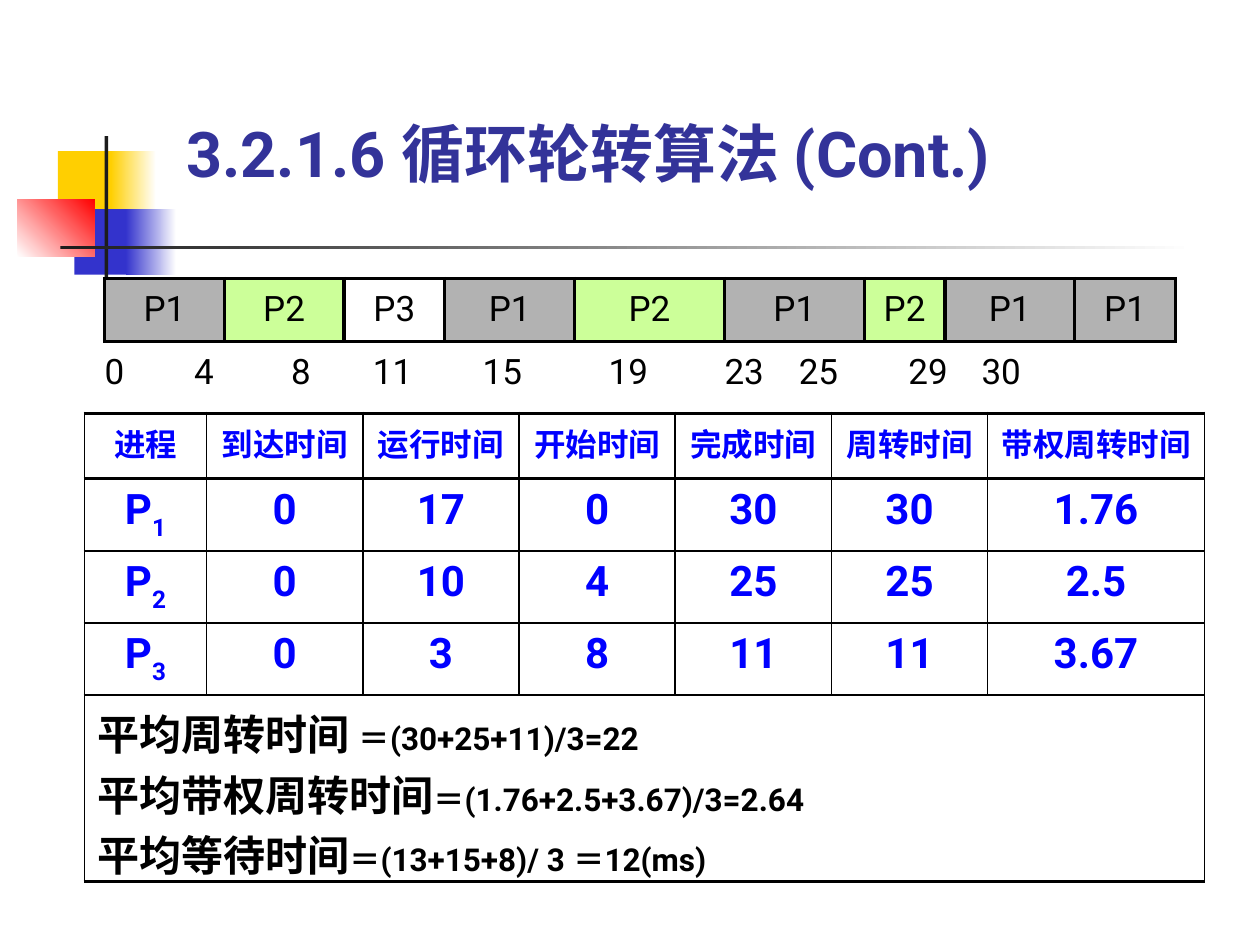
from typing import NamedTuple, Optional

from lxml import etree
from pptx import Presentation
from pptx.dml.color import RGBColor
from pptx.enum.shapes import MSO_SHAPE
from pptx.enum.text import MSO_ANCHOR, MSO_AUTO_SIZE, PP_ALIGN
from pptx.oxml.ns import qn
from pptx.util import Inches, Pt

RECTANGLE = MSO_SHAPE.RECTANGLE
CENTER, LEFT = PP_ALIGN.CENTER, PP_ALIGN.LEFT
MIDDLE, BOTTOM = MSO_ANCHOR.MIDDLE, MSO_ANCHOR.BOTTOM
GROW = MSO_AUTO_SIZE.SHAPE_TO_FIT_TEXT

YELLOW = RGBColor(0xFF, 0xCF, 0x01)
INDIGO = RGBColor(0x33, 0x33, 0xCC)
RED = RGBColor(0xFF, 0x00, 0x00)
CHARCOAL = RGBColor(0x1C, 0x1C, 0x1C)
WHITE = RGBColor(0xFF, 0xFF, 0xFF)
BLACK = RGBColor(0x00, 0x00, 0x00)
TITLE_BLUE = RGBColor(0x33, 0x33, 0x99)
TABLE_BLUE = RGBColor(0x00, 0x00, 0xFF)
GREY = RGBColor(0xB2, 0xB2, 0xB2)
GREEN = RGBColor(0xCC, 0xFF, 0x99)

FONT = "Roboto"
HEADER_FONT = "Times New Roman"

# The slide is a grid of 100 columns by 75 rows of square units.
GRID_COLUMNS, GRID_ROWS = 100, 75
UNIT = Inches(0.1)


def units(count: float) -> int:
    return round(count * UNIT)


class Block(NamedTuple):
    column: float
    row: float
    columns: float
    rows: float
    start: RGBColor
    end: Optional[RGBColor] = None
    angle: float = 0


class Borders(NamedTuple):
    """Line widths in points; zero hides a line."""
    left: float
    right: float
    top: float
    bottom: float


DECORATION = [
    Block(4.6, 12, 4.8, 5.2, YELLOW),
    Block(8.8, 12, 3.6, 5.2, YELLOW, WHITE),
    Block(5.9, 16.6, 4.6, 5.2, INDIGO),
    Block(10, 16.6, 4, 5.2, INDIGO, WHITE),
    Block(1.4, 15.8, 6.1, 4.6, WHITE, RED, 45),
    Block(8.3, 10.8, 0.3, 11.5, CHARCOAL),
    Block(4.8, 19.5, 90, 0.3, CHARCOAL, WHITE),
]

PROCESS_FILLS = {"P1": GREY, "P2": GREEN, "P3": None}
TIMELINE = [("P1", 9.5), ("P2", 9.5), ("P3", 8), ("P1", 10.3), ("P2", 11.9),
            ("P1", 11.1), ("P2", 6.4), ("P1", 10.3), ("P1", 8)]
TIMES = ["0", "4", "8", "11", "15", "19", "23", "25", "29", "30"]
TIME_TABS = [7.1, 14.8, 21.3, 30, 40, 49.2, 55.1, 63.8, 69.6]

HEADERS = ["进程", "到达时间", "运行时间", "开始时间", "完成时间", "周转时间", "带权周转时间"]
PROCESSES = [
    ["1", "0", "17", "0", "30", "30", "1.76"],
    ["2", "0", "10", "4", "25", "25", "2.5"],
    ["3", "0", "3", "8", "11", "11", "3.67"],
]
AVERAGES = [
    ("平均周转时间 ", "＝(30+25+11)/3=22"),
    ("平均带权周转时间", "＝(1.76+2.5+3.67)/3=2.64"),
    ("平均等待时间", "＝(13+15+8)/ 3 ＝12(ms)"),
]


def draw_block(slide, block: Block) -> None:
    shape = slide.shapes.add_shape(RECTANGLE, *map(units, block[:4]))
    shape.shadow.inherit = False
    shape.line.fill.background()
    if block.end is None:
        shape.fill.solid()
        shape.fill.fore_color.rgb = block.start
        return
    shape.fill.gradient()
    shape.fill.gradient_angle = block.angle
    for stop, color in zip(shape.fill.gradient_stops, (block.start, block.end)):
        stop.color.rgb = color


def format_run(run, size: float, color: RGBColor, bold: bool = True, name: str = FONT) -> None:
    run.font.size = Pt(size)
    run.font.name = name
    run.font.bold = bold
    run.font.color.rgb = color


def draw_title(slide, text: str) -> None:
    box = slide.shapes.add_textbox(units(14.8), units(9.1), units(70.7), units(6))
    frame = box.text_frame
    frame.word_wrap = True
    frame.auto_size = GROW
    frame.vertical_anchor = BOTTOM
    frame.margin_left = frame.margin_right = frame.margin_top = frame.margin_bottom = 0
    frame.text = text
    format_run(frame.paragraphs[0].runs[0], 36, TITLE_BLUE)


def add_grid(slide, column: float, row: float, widths: list, heights: list):
    frame = slide.shapes.add_table(len(heights), len(widths), units(column), units(row),
                                   units(sum(widths)), units(sum(heights)))
    table = frame.table
    table.first_row = table.horz_banding = False
    for table_column, width in zip(table.columns, widths):
        table_column.width = units(width)
    for table_row, height in zip(table.rows, heights):
        table_row.height = units(height)
    return table


def style_cell(cell, borders: Borders, fill: Optional[RGBColor] = None) -> None:
    properties = cell._tc.get_or_add_tcPr()
    for tag, width in zip(("a:lnL", "a:lnR", "a:lnT", "a:lnB"), borders):
        line = etree.SubElement(properties, qn(tag), w=str(Pt(width)))
        if width:
            solid = etree.SubElement(line, qn("a:solidFill"))
            etree.SubElement(solid, qn("a:srgbClr"), val=str(BLACK))
        else:
            etree.SubElement(line, qn("a:noFill"))
    if fill is None:
        cell.fill.background()
    else:
        cell.fill.solid()
        cell.fill.fore_color.rgb = fill


def write_cell(cell, text: str, size: float, color: RGBColor, bold: bool = True,
               name: str = FONT, alignment=CENTER):
    cell.text_frame.text = text
    paragraph = cell.text_frame.paragraphs[0]
    paragraph.alignment = alignment
    format_run(paragraph.runs[0], size, color, bold, name)
    return paragraph


def draw_process_table(slide) -> None:
    table = add_grid(slide, 6.7, 32.8, [9.7] + [12.4] * 5 + [17.2], [5.2] + [5.4] * 3 + [14.8])
    row_lines = [2, 2, 1, 1, 1, 2]
    for row_index, row in enumerate(table.rows):
        for cell in row.cells:
            style_cell(cell, Borders(1, 1, *row_lines[row_index:row_index + 2]))
    for column, header in enumerate(HEADERS):
        write_cell(table.cell(0, column), header, 18, TABLE_BLUE, name=HEADER_FONT)
    for row_index, (number, *values) in enumerate(PROCESSES, start=1):
        paragraph = write_cell(table.cell(row_index, 0), "P", 24, TABLE_BLUE)
        subscript = paragraph.add_run()
        subscript.text = number
        format_run(subscript, 24, TABLE_BLUE)
        subscript._r.get_or_add_rPr().set("baseline", "-30000")
        for column, value in enumerate(values, start=1):
            write_cell(table.cell(row_index, column), value, 24, TABLE_BLUE)
    summary = table.cell(4, 0)
    summary.merge(table.cell(4, len(HEADERS) - 1))
    frame = summary.text_frame
    for index, line in enumerate(AVERAGES):
        paragraph = frame.add_paragraph() if index else frame.paragraphs[0]
        for text, size in zip(line, (24, 18)):
            run = paragraph.add_run()
            run.text = text
            format_run(run, size, BLACK)


def draw_timeline(slide) -> None:
    table = add_grid(slide, 8.3, 22.1, [width for _, width in TIMELINE], [5, 4.9])
    for column, (process, _) in enumerate(TIMELINE):
        cell = table.cell(0, column)
        style_cell(cell, Borders(2.25, 2.25, 2.25, 2.25), PROCESS_FILLS[process])
        cell.vertical_anchor = MIDDLE
        write_cell(cell, process, 20, BLACK, bold=False)
        style_cell(table.cell(1, column), Borders(0, 0, 2.25, 0))
    scale = table.cell(1, 0)
    scale.merge(table.cell(1, len(TIMELINE) - 1))
    scale.vertical_anchor = MIDDLE
    scale.margin_left = scale.margin_right = scale.margin_top = scale.margin_bottom = 0
    paragraph = write_cell(scale, "\t".join(TIMES), 20, BLACK, bold=False, alignment=LEFT)
    tabs = etree.SubElement(paragraph._p.get_or_add_pPr(), qn("a:tabLst"))
    for position in TIME_TABS:
        etree.SubElement(tabs, qn("a:tab"), pos=str(units(position)), algn="l")


def main() -> None:
    presentation = Presentation()
    presentation.slide_width = units(GRID_COLUMNS)
    presentation.slide_height = units(GRID_ROWS)
    slide = presentation.slides.add_slide(presentation.slide_layouts[6])
    for block in DECORATION:
        draw_block(slide, block)
    draw_title(slide, "3.2.1.6 循环轮转算法 (Cont.)")
    draw_process_table(slide)
    draw_timeline(slide)
    presentation.save("out.pptx")


if __name__ == "__main__":
    main()
